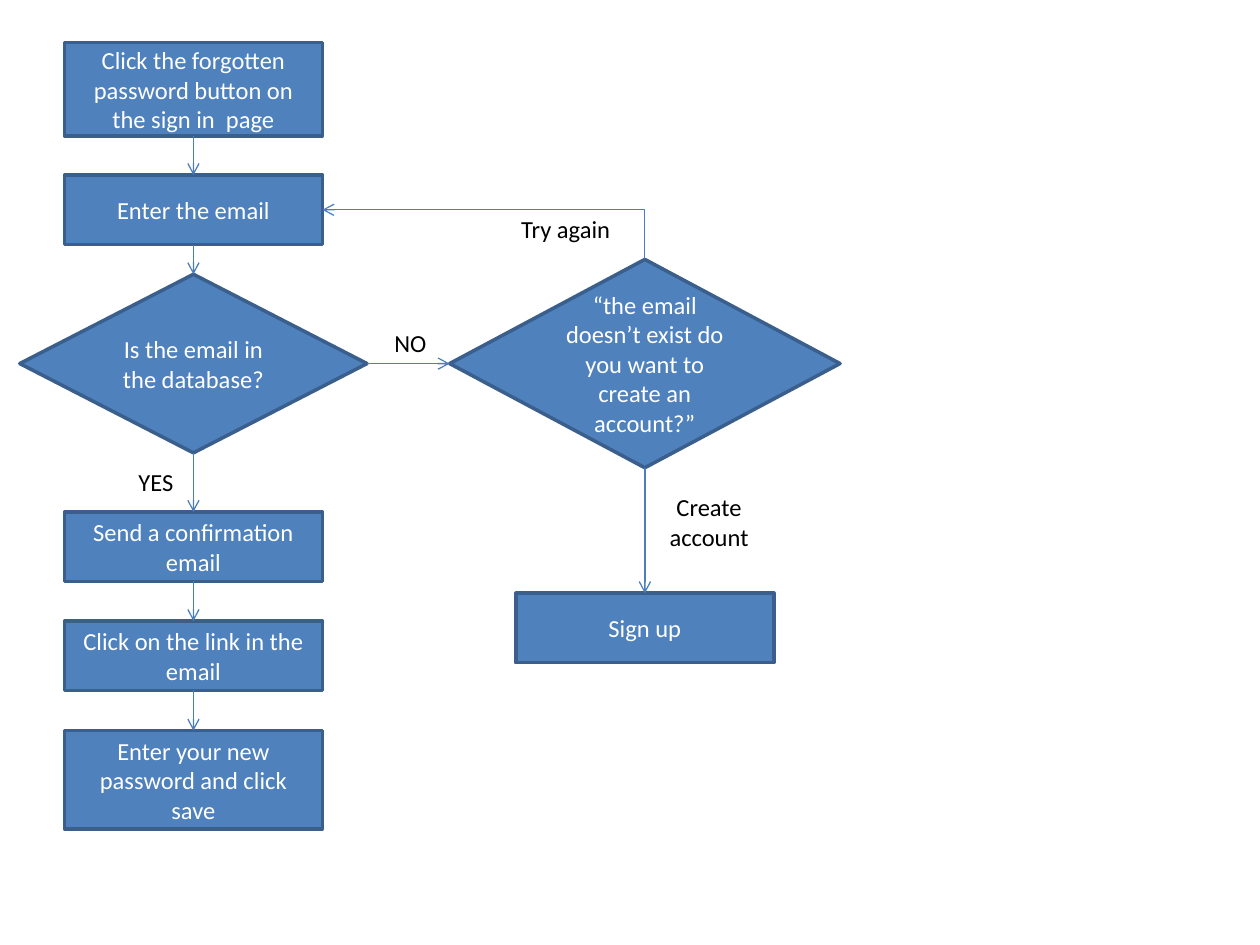
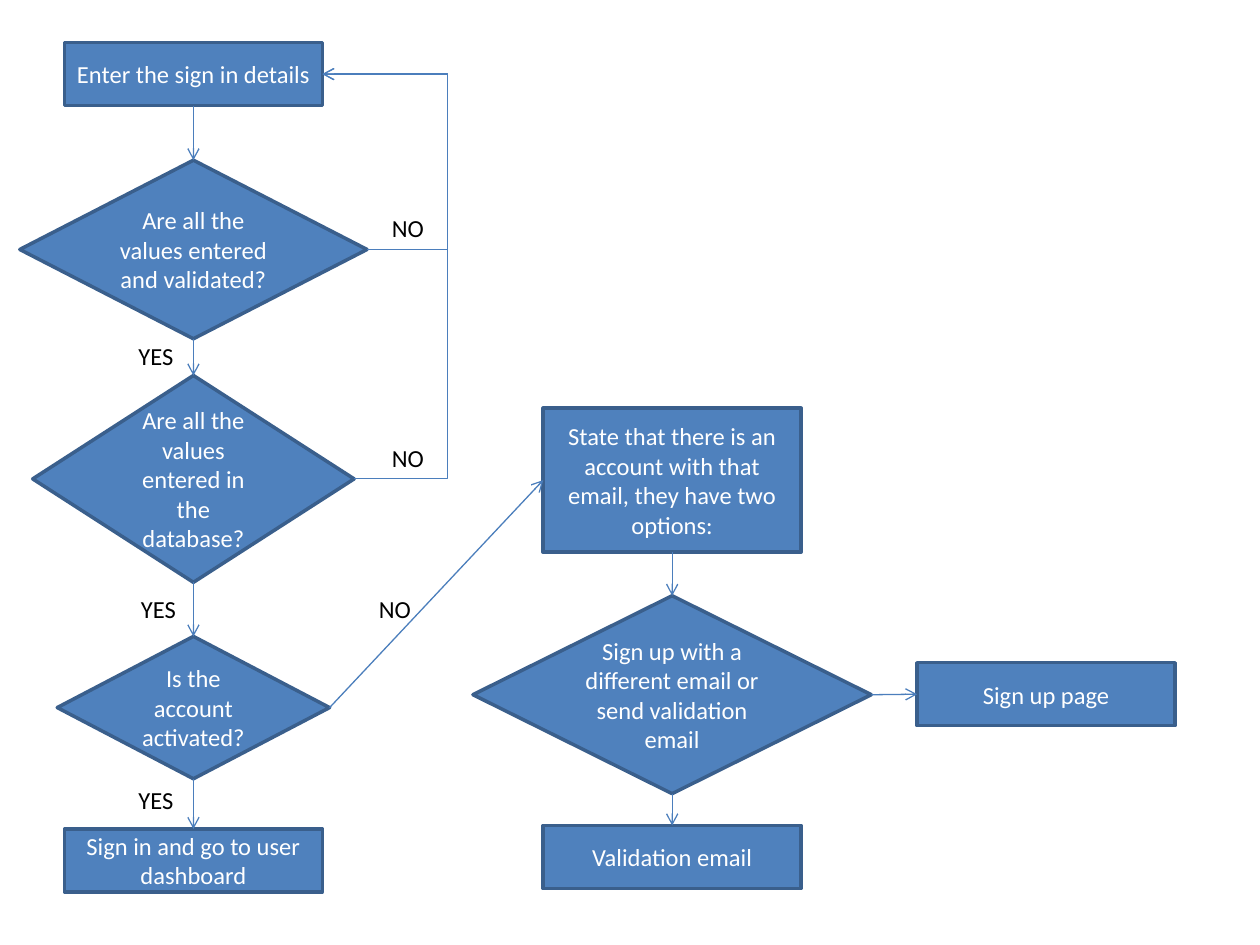
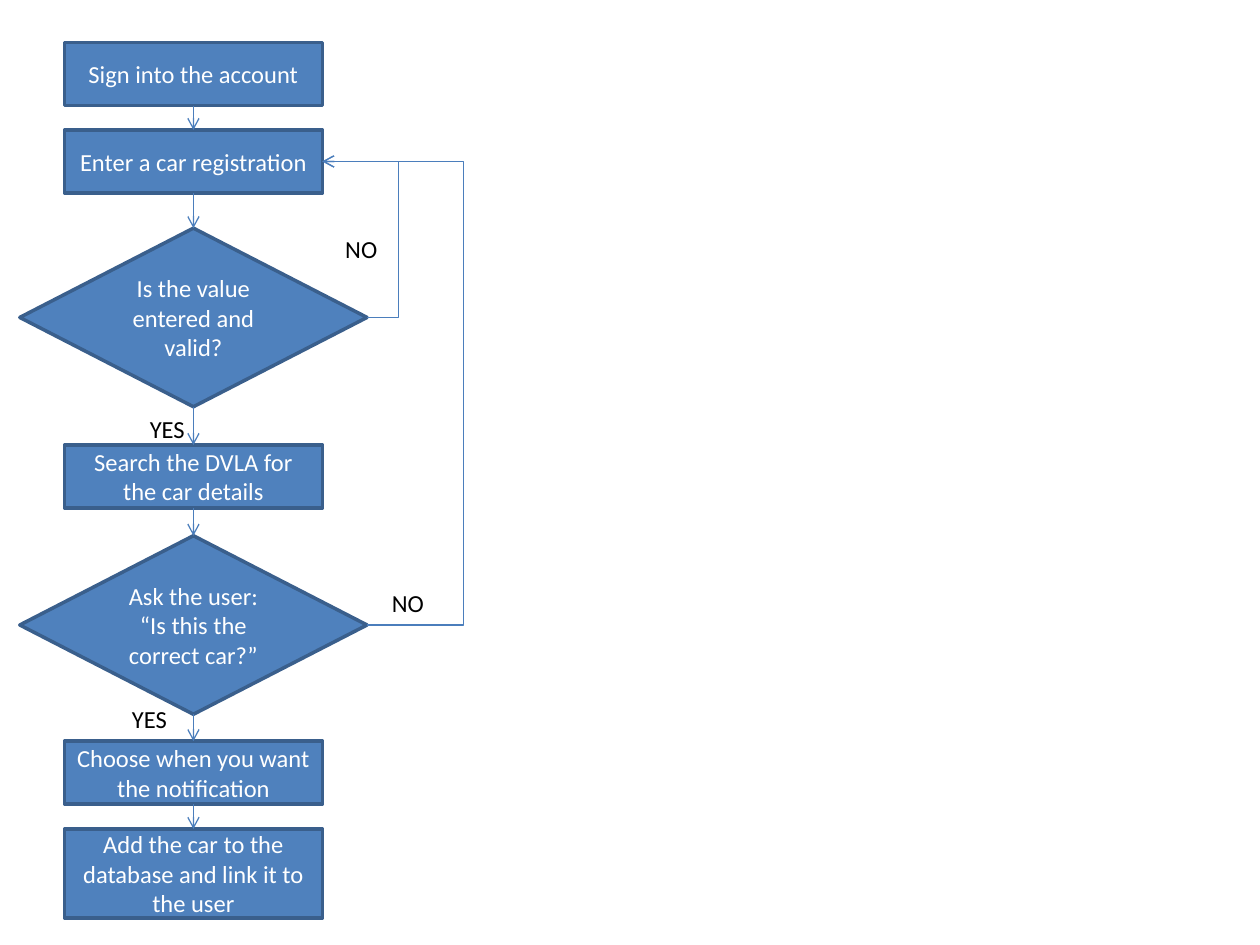
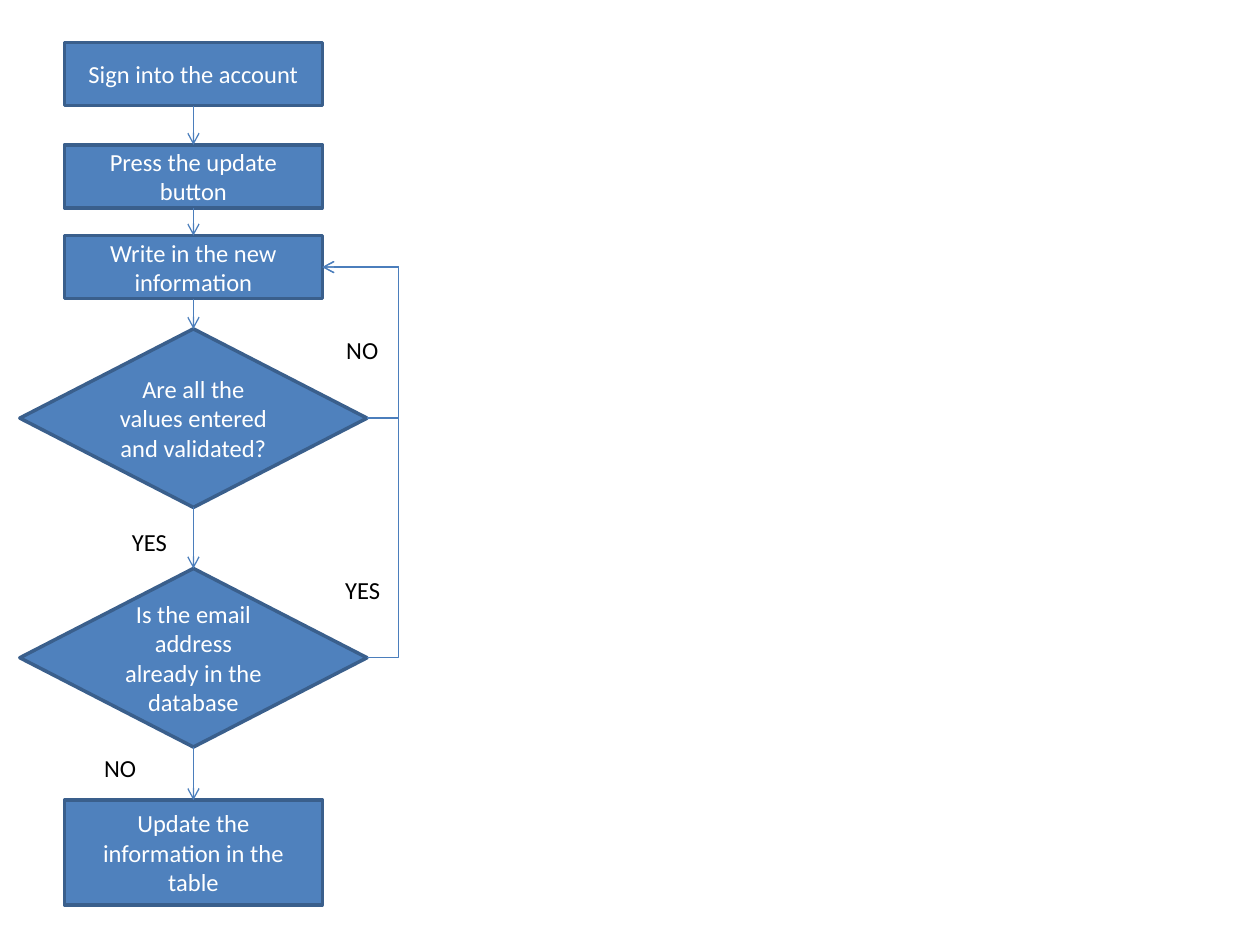
from dataclasses import dataclass
from itertools import pairwise

from pptx import Presentation
from pptx.dml.color import RGBColor
from pptx.enum.shapes import MSO_CONNECTOR, MSO_SHAPE
from pptx.enum.text import MSO_ANCHOR, MSO_AUTO_SIZE, PP_ALIGN
from pptx.oxml.ns import qn
from pptx.oxml.xmlchemy import OxmlElement
from pptx.util import Cm, Pt

STEP, TEST = MSO_SHAPE.FLOWCHART_PROCESS, MSO_SHAPE.FLOWCHART_DECISION
STRAIGHT, ELBOW = MSO_CONNECTOR.STRAIGHT, MSO_CONNECTOR.ELBOW
LEFT, CENTER = PP_ALIGN.LEFT, PP_ALIGN.CENTER
MIDDLE = MSO_ANCHOR.MIDDLE
GROW = MSO_AUTO_SIZE.SHAPE_TO_FIT_TEXT
# Connection sites of a box
TOP, WEST, BOTTOM, EAST = range(4)


@dataclass
class Theme:
    """Colours, type and line sizes of the deck."""
    fill: RGBColor = RGBColor(0x4F, 0x81, 0xBD)
    edge: RGBColor = RGBColor(0x3A, 0x5F, 0x8C)
    wire: RGBColor = RGBColor(0x4B, 0x7E, 0xBC)
    light: RGBColor = RGBColor(0xFF, 0xFF, 0xFF)
    dark: RGBColor = RGBColor(0, 0, 0)
    font: str = "Calibri"
    size: int = 14
    border: float = 2
    thin: float = 0.75


theme = Theme()
TYPE = {"name": theme.font, "size": Pt(theme.size)}
BOX_FRAME = {"word_wrap": True, "vertical_anchor": MIDDLE}
TAG_FRAME = {"word_wrap": True, "auto_size": GROW}

# Centimetres: the main column and the usual box sizes
MAIN = 3.9
STEP_W, STEP_H = 5.2, 1.27
TALL_H = 1.4
TEST_W, TEST_H = 7, 3.6
TAG_W, TAG_H = 1.37, 0.86
WIDE_W = 2.59


def write(shape, text, color, align, frame):
    """Put one formatted paragraph in a shape."""
    for key, value in frame.items():
        setattr(shape.text_frame, key, value)
    para = shape.text_frame.paragraphs[0]
    para.alignment = align
    run = para.add_run()
    run.text = text
    for key, value in TYPE.items():
        setattr(run.font, key, value)
    run.font.color.rgb = color


def join(slide, start, site, end, goal, turn=None, corner=False):
    """Link two boxes; turn is the x of a loop, corner a single bend."""
    kind = ELBOW if corner or turn else STRAIGHT
    link = slide.shapes.add_connector(kind, 0, 0, 0, 0)
    link.begin_connect(start, site)
    link.end_connect(end, goal)
    link.line.color.rgb = theme.wire
    link.line.width = Pt(theme.thin)
    props = link.element.spPr
    shape = props.find(qn("a:prstGeom"))
    if corner:
        shape.set("prst", "bentConnector2")
    if turn:
        ratio = (Cm(turn) - link.begin_x) / (link.end_x - link.begin_x)
        guide = OxmlElement("a:gd")
        guide.set("name", "adj1")
        guide.set("fmla", f"val {round(ratio * 100000)}")
        shape.find(qn("a:avLst")).append(guide)
    # A corner is drawn from its target, so its arrow sits at the start
    tip = OxmlElement("a:headEnd" if corner else "a:tailEnd")
    tip.set("type", "arrow")
    props.find(qn("a:ln")).append(tip)
    props.append(OxmlElement("a:effectLst"))


# main: (kind, text, top[, height[, width]]), linked from top to bottom
# side: (kind, text, middle, top, height, width)
# tags: (text, left, top[, width])
# links: (start, site, end, site); loops: (start, end, x of the turn)
# Boxes are numbered through main, then side.
FLOWS = [
    {
        "main": [
            (STEP, "Click the forgotten password button on the sign in  page", 0.86, 1.88),
            (STEP, "Enter the email", 3.53, TALL_H),
            (TEST, "Is the email in the database?", 5.53),
            (STEP, "Send a confirmation email", 10.32, TALL_H),
            (STEP, "Click on the link in the email", 12.52, TALL_H),
            (STEP, "Enter your new password and click save", 14.73, 1.98),
        ],
        "side": [
            (TEST, "“the email doesn’t exist do you want to create an account?”",
             13, 5.23, 4.2, 7.87),
            (STEP, "Sign up", 13, 11.96, TALL_H, STEP_W),
        ],
        "tags": [("YES", 2.54, 9.3), ("NO", 7.7, 6.48),
                 ("Create account", 13, 9.8, WIDE_W),
                 ("Try again", 10.11, 4.19, WIDE_W)],
        "links": [(2, EAST, 6, WEST), (6, BOTTOM, 7, TOP)],
        "corners": [(1, EAST, 6, TOP)],
    },
    {
        "main": [
            (STEP, "Enter the sign in details", 0.86),
            (TEST, "Are all the values entered and validated?", 3.23),
            (TEST, "Are all the values entered in the database?", 7.57, 4.17, 6.48),
            (TEST, "Is the account activated?", 12.83, 2.87, 5.49),
            (STEP, "Sign in and go to user dashboard", 16.71),
        ],
        "side": [
            (STEP, "State that there is an account with that email, they have two options:",
             13.55, 8.23, 2.9, STEP_W),
            (TEST, "Sign up with a different email or send validation email",
             13.55, 12.01, 3.99, 8.03),
            (STEP, "Validation email", 13.55, 16.64, STEP_H, STEP_W),
            (STEP, "Sign up page", 21.09, 13.36, STEP_H, STEP_W),
        ],
        "tags": [("YES", 2.54, 6.76), ("NO", 7.65, 4.17), ("YES", 2.54, 15.7),
                 ("NO", 7.65, 8.81), ("YES", 2.59, 11.86), ("NO", 7.39, 11.86)],
        "links": [(6, EAST, 8, WEST), (6, BOTTOM, 7, TOP),
                  (5, BOTTOM, 6, TOP), (3, EAST, 5, WEST)],
        "loops": [(2, 0, 9.03), (1, 0, 9.03)],
    },
    {
        "main": [
            (STEP, "Sign into the account", 0.86),
            (STEP, "Enter a car registration", 2.62),
            (TEST, "Is the value entered and valid?", 4.6),
            (STEP, "Search the DVLA for the car details", 8.97),
            (TEST, "Ask the user: “Is this the correct car?”", 10.8),
            (STEP, "Choose when you want the notification", 14.94),
            (STEP, "Add the car to the database and link it to the user", 16.71, 1.8),
        ],
        "tags": [("YES", 2.77, 8.23), ("NO", 6.71, 4.6),
                 ("NO", 7.65, 11.73), ("YES", 2.41, 14.07)],
        "loops": [(2, 1, 8.03), (4, 1, 9.35)],
    },
    {
        "main": [
            (STEP, "Sign into the account", 0.86),
            (STEP, "Press the update button", 2.92),
            (STEP, "Write in the new information", 4.75),
            (TEST, "Are all the values entered and validated?", 6.63),
            (TEST, "Is the email address already in the database", 11.46),
            (STEP, "Update the information in the table", 16.13, 2.11),
        ],
        "tags": [("YES", 2.41, 10.49), ("NO", 6.73, 6.63),
                 ("NO", 1.85, 15.06), ("YES", 6.71, 11.46)],
        "loops": [(3, 2, 8.03), (4, 2, 8.03)],
    },
]

deck = Presentation()
deck.slide_width, deck.slide_height = Cm(25.4), Cm(19.05)
blank = deck.slide_layouts[6]

for flow in FLOWS:
    slide = deck.slides.add_slide(blank)

    plan = []
    for kind, text, top, *size in flow["main"]:
        usual = [STEP_H, STEP_W] if kind == STEP else [TEST_H, TEST_W]
        plan.append((kind, text, MAIN, top, *size, *usual[len(size):]))
    plan += flow.get("side", [])

    boxes = []
    for kind, text, middle, top, height, width in plan:
        box = slide.shapes.add_shape(
            kind, Cm(middle - width / 2), Cm(top), Cm(width), Cm(height))
        box.shadow.inherit = False
        box.fill.solid()
        box.fill.fore_color.rgb = theme.fill
        box.line.color.rgb = theme.edge
        box.line.width = Pt(theme.border)
        write(box, text, theme.light, CENTER, BOX_FRAME)
        boxes.append(box)

    for text, left, top, *wide in flow["tags"]:
        width = wide[0] if wide else TAG_W
        height = 1.45 if text == "Create account" else TAG_H
        tag = slide.shapes.add_textbox(Cm(left), Cm(top), Cm(width), Cm(height))
        write(tag, text, theme.dark, CENTER if wide else LEFT, TAG_FRAME)

    for upper, lower in pairwise(boxes[:len(flow["main"])]):
        join(slide, upper, BOTTOM, lower, TOP)
    for start, site, end, goal in flow.get("links", []):
        join(slide, boxes[start], site, boxes[end], goal)
    for start, site, end, goal in flow.get("corners", []):
        join(slide, boxes[start], site, boxes[end], goal, corner=True)
    for start, end, turn in flow.get("loops", []):
        join(slide, boxes[start], EAST, boxes[end], EAST, turn=turn)

deck.save("out.pptx")
